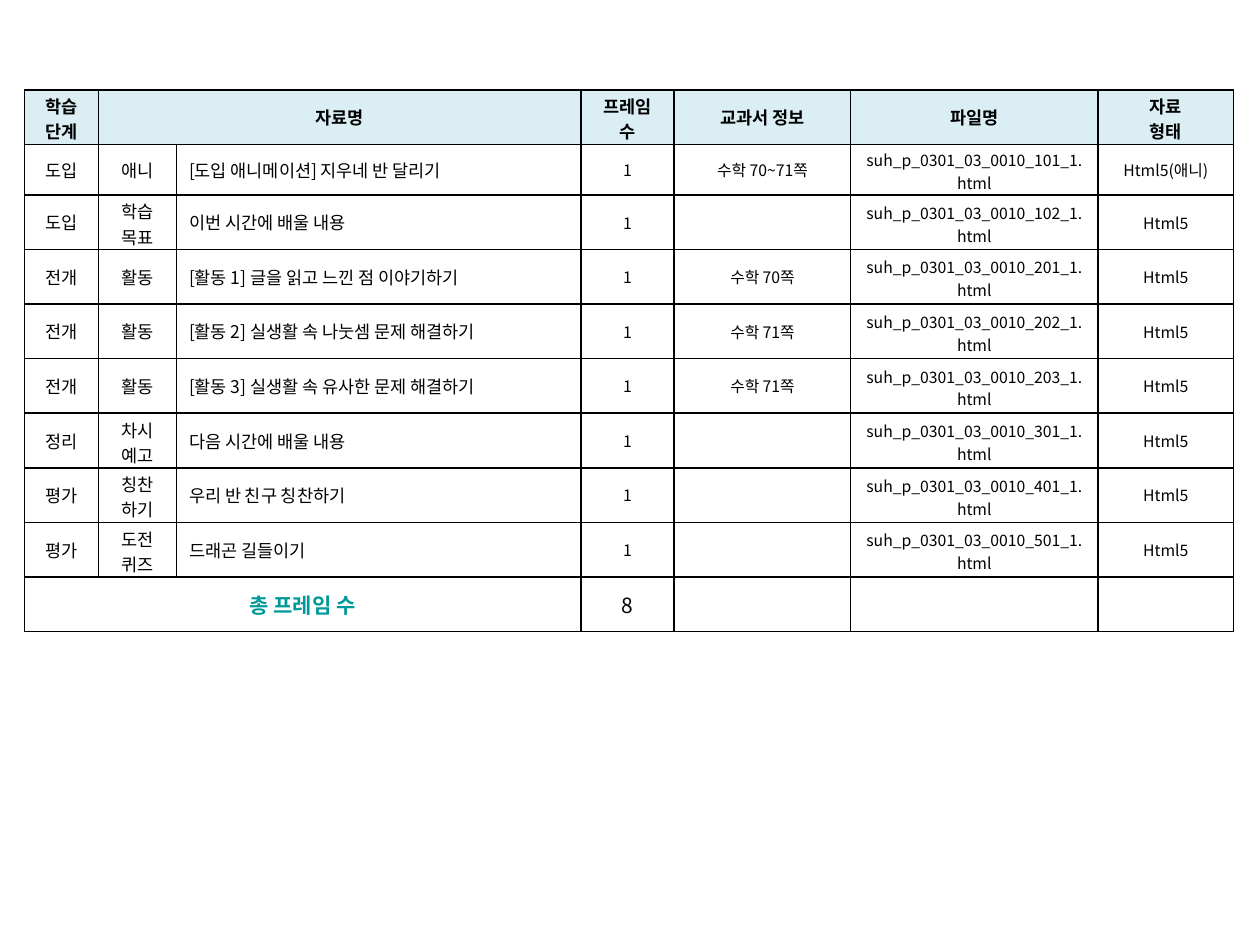
from dataclasses import dataclass

from lxml.etree import SubElement
from pptx import Presentation
from pptx.dml.color import RGBColor
from pptx.enum.text import MSO_ANCHOR, PP_ALIGN
from pptx.oxml.ns import qn
from pptx.table import _Cell
from pptx.util import Cm, Pt

FONT = "Noto Sans CJK KR"
BLACK = "000000"
TEAL = "009999"
HEADER_FILL = "DBEEF4"
COLUMN_WIDTHS = (1.5, 1.57, 8.15, 1.88, 3.56, 4.98, 2.74)
ROW_HEIGHTS = (1.1, 1.02) + (1.1,) * 8
BODY_SIZES = (10, 10, 10, 9, 9, 9, 9)
TITLE_COLUMN = 2
FRAME_COLUMN = 3
FILE_COLUMN = 5
HEADERS = ("학습 단계", "자료명", "", "프레임 수", "교과서 정보", "파일명", "자료\n형태")
TOTALS = ("총 프레임 수", "", "", "8", "", "", "")


@dataclass
class Material:
    stage: str
    kind: str
    title: str
    textbook: str
    code: str
    form: str = "Html5"

    def values(self) -> tuple[str, ...]:
        filename = f"suh_p_0301_03_0010_{self.code}_1.html"
        return (self.stage, self.kind, self.title, "1", self.textbook, filename, self.form)


@dataclass
class CellStyle:
    size: int
    color: str = BLACK
    bold: bool = False
    alignment: PP_ALIGN = PP_ALIGN.CENTER
    fill: str = ""
    two_lines: bool = False
    side_margin: float = 0.25


MATERIALS = (
    Material("도입", "애니", "[도입 애니메이션] 지우네 반 달리기", "수학 70~71쪽", "101", "Html5(애니)"),
    Material("도입", "학습 목표", "이번 시간에 배울 내용", "", "102"),
    Material("전개", "활동", "[활동 1] 글을 읽고 느낀 점 이야기하기", "수학 70쪽", "201"),
    Material("전개", "활동", "[활동 2] 실생활 속 나눗셈 문제 해결하기", "수학 71쪽", "202"),
    Material("전개", "활동", "[활동 3] 실생활 속 유사한 문제 해결하기", "수학 71쪽", "203"),
    Material("정리", "차시 예고", "다음 시간에 배울 내용", "", "301"),
    Material("평가", "칭찬\n하기", "우리 반 친구 칭찬하기", "", "401"),
    Material("평가", "도전\n퀴즈", "드래곤 길들이기", "", "501"),
)


def rgb(color: str) -> RGBColor:
    return RGBColor.from_string(color)


def add_borders(cell: _Cell) -> None:
    properties = cell._tc.get_or_add_tcPr()
    for side in ("lnL", "lnR", "lnT", "lnB"):
        line = SubElement(properties, qn(f"a:{side}"), w=str(Pt(1)))
        solid = SubElement(line, qn("a:solidFill"))
        SubElement(solid, qn("a:srgbClr"), val=BLACK)


def write_cell(cell: _Cell, text: str, style: CellStyle) -> None:
    add_borders(cell)
    if style.fill:
        cell.fill.solid()
        cell.fill.fore_color.rgb = rgb(style.fill)
    else:
        cell.fill.background()
    cell.vertical_anchor = MSO_ANCHOR.MIDDLE
    cell.margin_left = cell.margin_right = Cm(style.side_margin)
    cell.margin_top = Cm(0.07 if style.two_lines else 0.13)
    cell.margin_bottom = Cm(0 if style.two_lines else 0.13)
    cell.text = text
    for paragraph in cell.text_frame.paragraphs:
        paragraph.alignment = style.alignment
        font = paragraph.font
        font.size = Pt(style.size)
        font.bold = style.bold
        font.color.rgb = rgb(style.color)
        font.name = FONT
        SubElement(font._rPr, qn("a:ea"), typeface=FONT)
        if not text:
            paragraph._p.get_or_add_endParaRPr().set("sz", str(style.size * 100))


def body_style(column: int, text: str) -> CellStyle:
    style = CellStyle(BODY_SIZES[column])
    if column == TITLE_COLUMN:
        style.alignment = PP_ALIGN.LEFT
    style.two_lines = column == FILE_COLUMN or (column == 1 and len(text) > 2)
    return style


def header_style(column: int, text: str) -> CellStyle:
    style = CellStyle(10, bold=True, fill=HEADER_FILL)
    style.two_lines = column in (0, FRAME_COLUMN, 6)
    if column == FRAME_COLUMN:
        style.side_margin = 0.3
    return style


def total_style(column: int, text: str) -> CellStyle:
    if column == 0:
        return CellStyle(12, TEAL, bold=True)
    return CellStyle(12 if text else 9)


def main() -> None:
    presentation = Presentation()
    presentation.slide_width = Cm(25.4)
    presentation.slide_height = Cm(19.05)
    slide = presentation.slides.add_slide(presentation.slide_layouts[6])

    table = slide.shapes.add_table(
        len(ROW_HEIGHTS), len(COLUMN_WIDTHS), Cm(0.49), Cm(1.81),
        Cm(sum(COLUMN_WIDTHS)), Cm(sum(ROW_HEIGHTS)),
    ).table
    table.first_row = False
    table.horz_banding = False
    for column, width in zip(table.columns, COLUMN_WIDTHS):
        column.width = Cm(width)
    for row, height in zip(table.rows, ROW_HEIGHTS):
        row.height = Cm(height)

    rows = [(HEADERS, header_style)]
    rows += [(material.values(), body_style) for material in MATERIALS]
    rows.append((TOTALS, total_style))
    for row_index, (values, choose_style) in enumerate(rows):
        for column_index, text in enumerate(values):
            style = choose_style(column_index, text)
            write_cell(table.cell(row_index, column_index), text, style)

    last_row = len(rows) - 1
    table.cell(0, 1).merge(table.cell(0, 2))
    table.cell(last_row, 0).merge(table.cell(last_row, 2))
    presentation.save("out.pptx")


if __name__ == "__main__":
    main()
